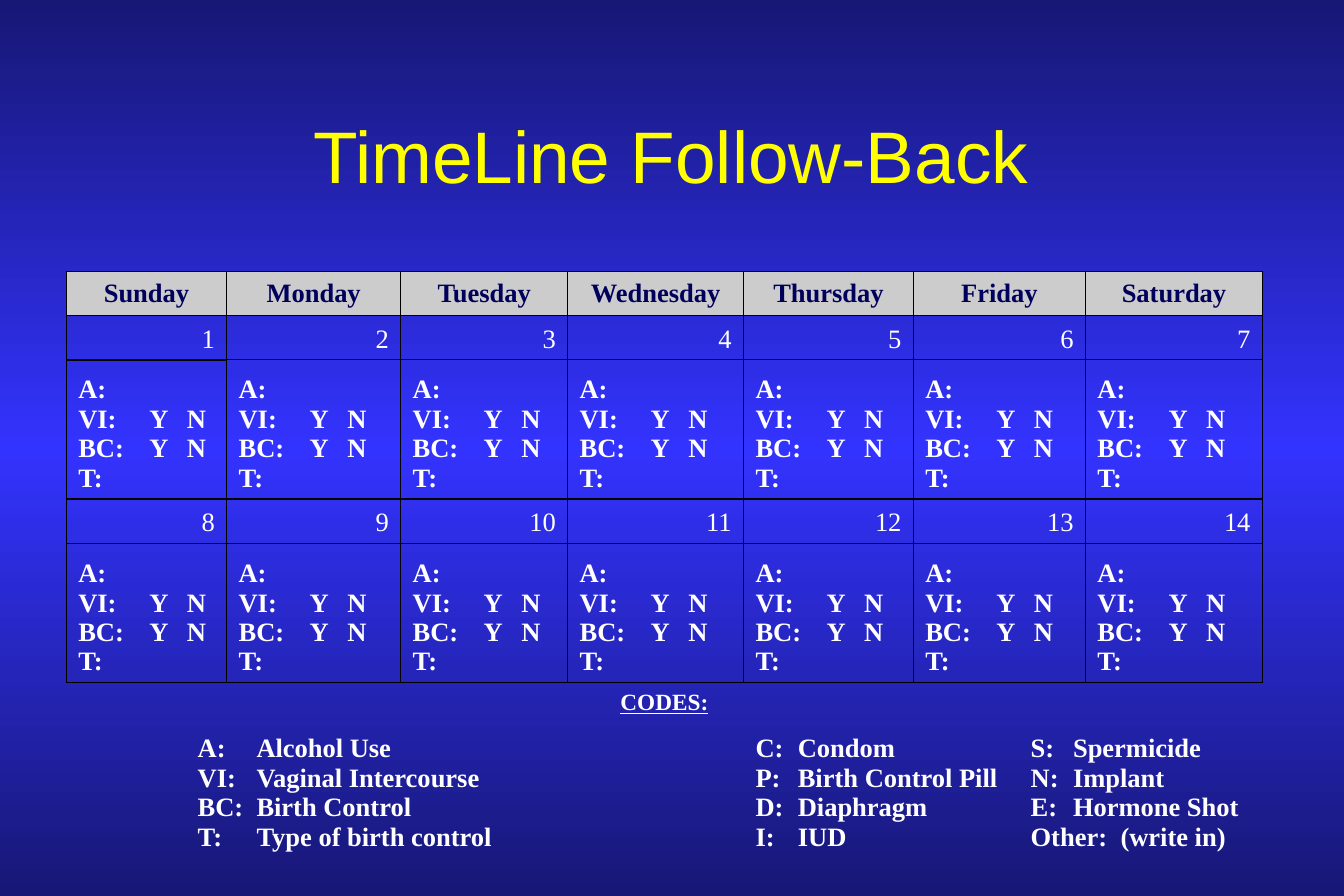
import copy
from dataclasses import dataclass

import pptx
import pptx.dml.color
import pptx.enum.text
import pptx.oxml.ns
import pptx.oxml.xmlchemy
import pptx.util
from lxml import etree

Cm = pptx.util.Cm
Pt = pptx.util.Pt
qn = pptx.oxml.ns.qn
RGB = pptx.dml.color.RGBColor.from_string
ALIGN = pptx.enum.text.PP_ALIGN
ANCHOR = pptx.enum.text.MSO_ANCHOR


@dataclass(frozen=True)
class Theme:
    edge: str = "171775"
    middle: str = "3333FF"
    title: str = "FFFF00"
    header: str = "00005C"
    header_fill: str = "CCCCCC"
    text: str = "FFFFFF"
    line: str = "000000"
    title_font: str = "Arial"
    table_font: str = "Times New Roman"
    title_size: int = 44
    table_size: int = 16
    codes_size: int = 14
    thin: float = 0.45
    thick: float = 0.96


theme = Theme()


def write(frame, text, color=theme.text, size=theme.table_size, font=theme.table_font,
          bold=True, underline=False, align=ALIGN.LEFT, tabs=()):
    """Fill a text frame; tabs are left tab stops in centimetres."""
    frame.text = text
    for paragraph in frame.paragraphs:
        paragraph.alignment = align
        if tabs:
            stops = etree.SubElement(paragraph._p.get_or_add_pPr(), qn("a:tabLst"))
            for stop in tabs:
                etree.SubElement(stops, qn("a:tab"), pos=str(Cm(stop)), algn="l")
        for run in paragraph.runs:
            run.font.name = font
            run.font.size = Pt(size)
            run.font.bold = bold
            run.font.underline = underline
            run.font.color.rgb = RGB(color)


def set_borders(cell, left, right, top, bottom):
    """Set the four border widths in points; 0 means no line."""
    properties = cell._tc.get_or_add_tcPr()
    for side, width in zip("LRTB", (left, right, top, bottom)):
        border = etree.SubElement(properties, qn(f"a:ln{side}"), w=str(Pt(width)))
        if width:
            paint = etree.SubElement(border, qn("a:solidFill"))
            etree.SubElement(paint, qn("a:srgbClr"), val=theme.line)
        else:
            etree.SubElement(border, qn("a:noFill"))


presentation = pptx.Presentation()
presentation.slide_width = Cm(28.575)
presentation.slide_height = Cm(19.05)
slide = presentation.slides.add_slide(presentation.slide_layouts[6])

# Background: dark edges, bright middle
backdrop = slide.background.fill
backdrop.gradient()
backdrop.gradient_angle = 90
for stop, color in zip(backdrop.gradient_stops, (theme.edge, theme.middle)):
    stop.color.rgb = RGB(color)
stops = slide.element.find(".//" + qn("a:gsLst"))
stops.append(copy.deepcopy(stops[0]))
for stop, position in zip(stops, (0, 50000, 100000)):
    stop.set("pos", str(position))

# Title
title = slide.shapes.add_textbox(Cm(2.13), Cm(1.7), Cm(24.28), Cm(3.18)).text_frame
title.word_wrap = True
title.vertical_anchor = ANCHOR.MIDDLE
write(title, "TimeLine Follow-Back", theme.title, theme.title_size, theme.title_font,
      bold=False, align=ALIGN.CENTER)

# Calendar grid: Friday covers two columns, which the codes below split
column_widths = (3.41, 3.7, 3.55, 3.74, 3.61, 2.24, 1.42, 3.76)
row_heights = (0.94, 0.94, 2.96, 0.94, 2.96, 0.86, 2.97)
calendar = slide.shapes.add_table(
    len(row_heights), len(column_widths), Cm(1.41), Cm(5.77),
    Cm(sum(column_widths)), Cm(sum(row_heights))).table
calendar.first_row = False
calendar.horz_banding = False
for column, width in zip(calendar.columns, column_widths):
    column.width = Cm(width)
for row, height in zip(calendar.rows, row_heights):
    row.height = Cm(height)

# Borders: a thin line under each date, except in the first column
thin, thick = theme.thin, theme.thick
for c in range(len(column_widths)):
    inner = thin if c else thick
    row_borders = (
        (thin, thin, thin, thick),
        (thick, thick, thick, inner), (thick, thick, inner, thick),
        (thick, thick, thick, inner), (thick, thick, inner, thick),
        (0, 0, thick, 0), (0, 0, 0, 0))
    for r, widths in enumerate(row_borders):
        set_borders(calendar.cell(r, c), *widths)
        calendar.cell(r, c).fill.background()

# Weekdays with dates and entries
weekdays = ("Sunday", "Monday", "Tuesday", "Wednesday", "Thursday", "Friday", "Saturday")
day_columns = (0, 1, 2, 3, 4, 5, 7)
entry = "A:\nVI:\tY\tN\nBC:\tY\tN\nT:"
for r in range(5):
    calendar.cell(r, 5).merge(calendar.cell(r, 6))
for day, (weekday, c) in enumerate(zip(weekdays, day_columns), start=1):
    header = calendar.cell(0, c)
    header.fill.solid()
    header.fill.fore_color.rgb = RGB(theme.header_fill)
    header.vertical_anchor = ANCHOR.MIDDLE
    write(header.text_frame, weekday, theme.header, align=ALIGN.CENTER)
    for week in range(2):
        date = calendar.cell(1 + 2 * week, c)
        date.vertical_anchor = ANCHOR.BOTTOM
        write(date.text_frame, str(day + 7 * week), bold=False, align=ALIGN.RIGHT)
        record = calendar.cell(2 + 2 * week, c)
        record.vertical_anchor = ANCHOR.BOTTOM
        write(record.text_frame, entry, tabs=(1.51, 2.31))

# Codes
codes = calendar.cell(5, 0)
codes.merge(calendar.cell(5, 7))
codes.vertical_anchor = ANCHOR.MIDDLE
write(codes.text_frame, "CODES:", size=theme.codes_size, underline=True, align=ALIGN.CENTER)

legends = (
    (0, 3, (2.54, 3.79),
     "\tA:\tAlcohol Use\n\tVI:\tVaginal Intercourse\n"
     "\tBC:\tBirth Control\n\tT:\tType of birth control"),
    (4, 5, (0.9,), "C:\tCondom\nP:\tBirth Control Pill\nD:\tDiaphragm\nI:\tIUD"),
    (6, 7, (0.9, 1.91), "S:\tSpermicide\nN:\tImplant\nE:\tHormone Shot\nOther:\t(write in)"),
)
for first, last, tabs, text in legends:
    legend = calendar.cell(6, first)
    legend.merge(calendar.cell(6, last))
    legend.vertical_anchor = ANCHOR.MIDDLE
    write(legend.text_frame, text, tabs=tabs)

presentation.save("out.pptx")
